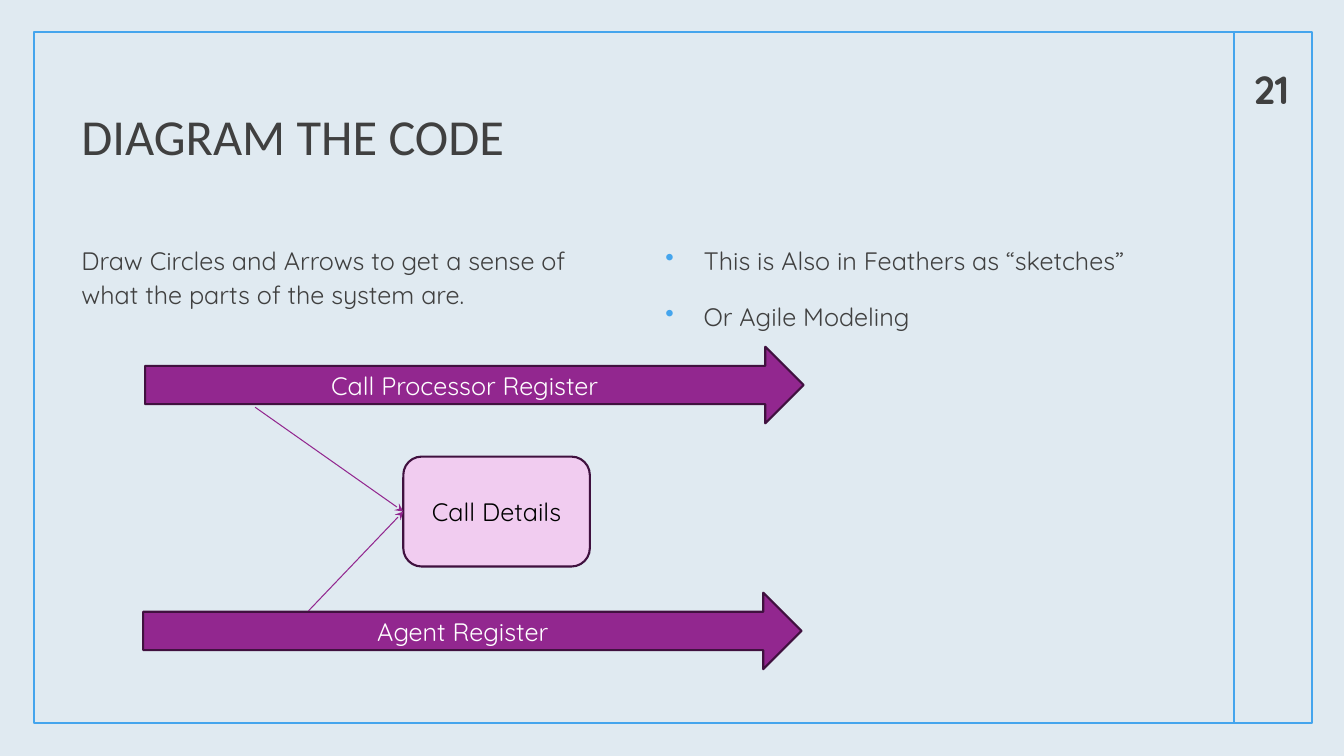
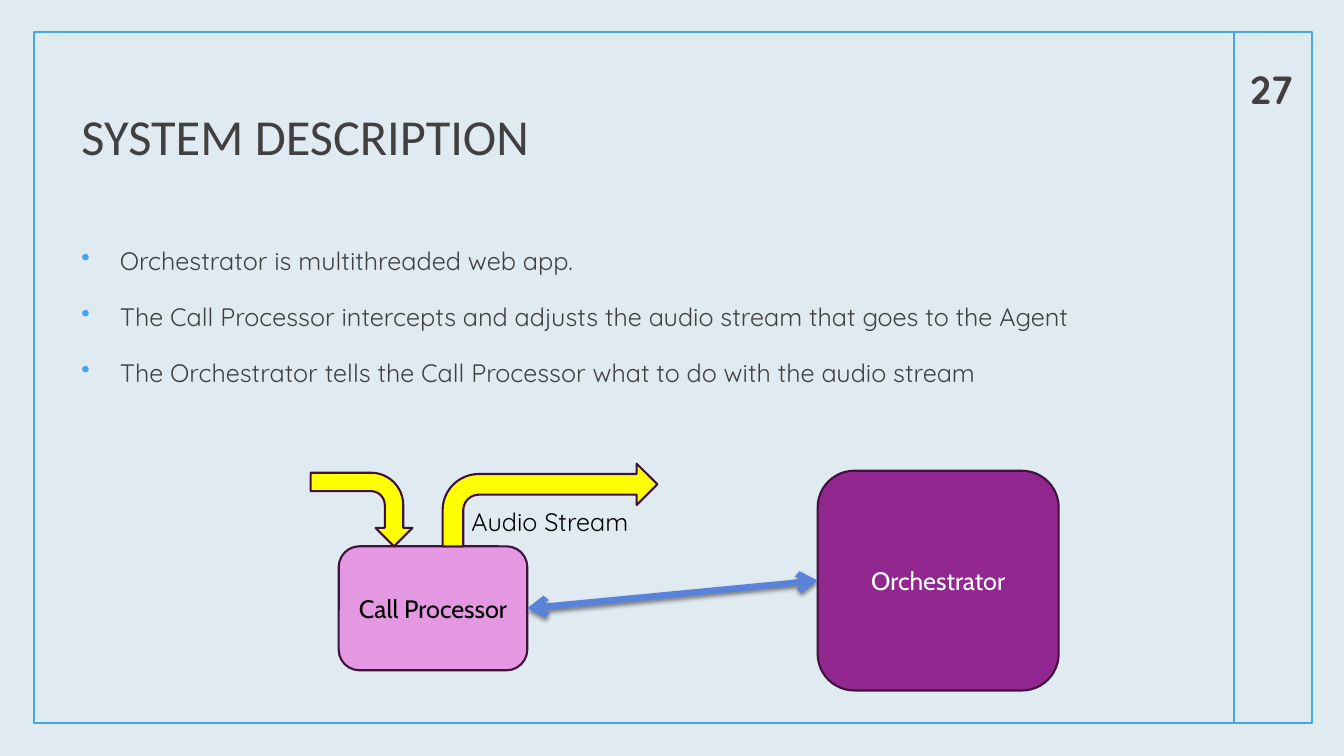
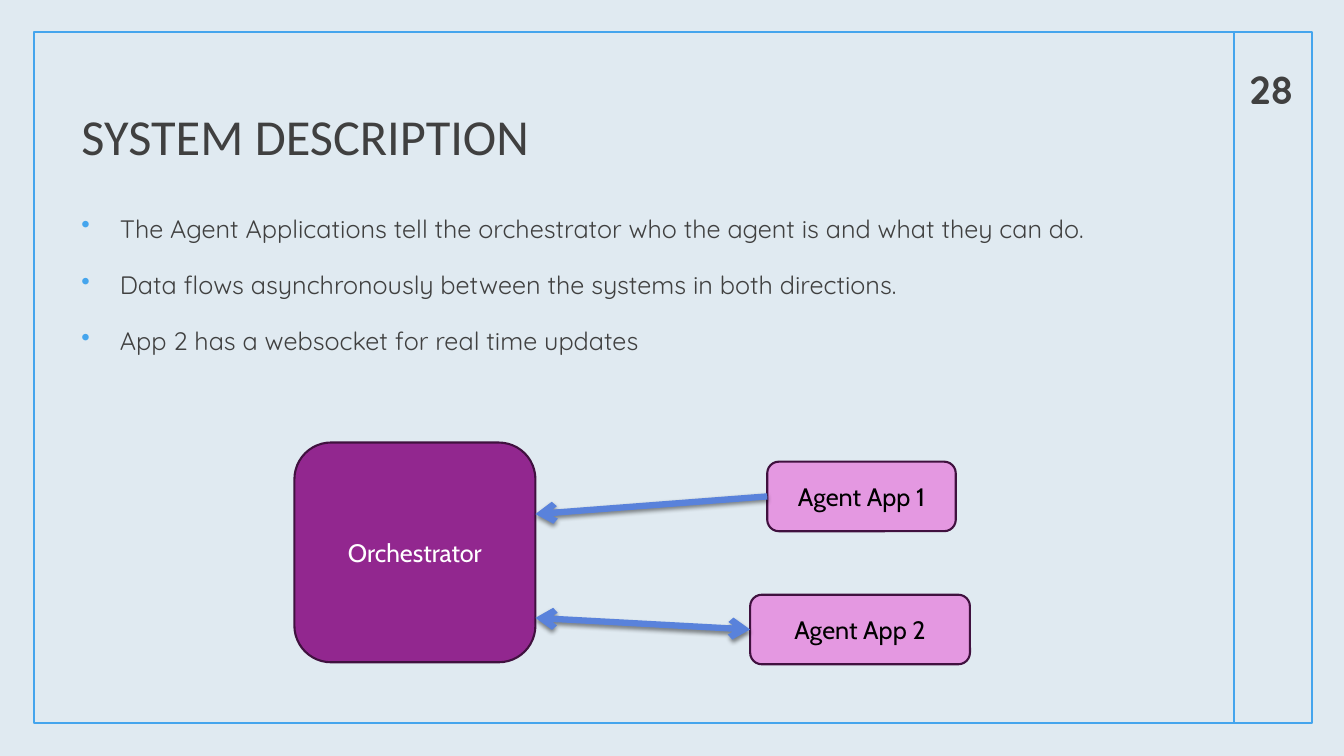
from dataclasses import dataclass

from lxml import etree
from pptx import Presentation
from pptx import util as u
from pptx.dml import color as dml
from pptx.enum import shapes, text
from pptx.oxml import ns

COLORS = {
    "page": "F2F2F2",
    "sky": "45A5ED",
    "ink": "404040",
    "purple": "92278F",
    "plum": "40113F",
    "pink": "E498E1",
    "pale": "F1CCF0",
    "yellow": "FFFF00",
    "blue": "5982DB",
    "white": "FFFFFF",
    "black": "000000",
}
SHAPE = shapes.MSO_SHAPE
ANCHOR = text.MSO_ANCHOR
Box = tuple[float, float, float, float]
End = tuple[float, float] | tuple[str, int]


@dataclass(frozen=True)
class Body:
    box: Box
    paragraphs: tuple[str, ...]
    bulleted: bool = True


@dataclass(frozen=True)
class Node:
    name: str
    box: Box
    label: str = ""
    kind: SHAPE = SHAPE.ROUNDED_RECTANGLE
    fill: str = "pink"
    color: str = "black"
    font: str = "Cabin"
    rotation: float = 0
    anchor: ANCHOR = ANCHOR.MIDDLE
    bottom_inset: float = 0.05


@dataclass(frozen=True)
class Link:
    start: End
    end: End
    color: str = "blue"
    width: float = 4.5
    head: str = ""
    tail: str = "arrow"
    shadow: bool = True


@dataclass(frozen=True)
class Page:
    number: int
    title: str
    bodies: tuple[Body, ...]
    nodes: tuple[Node, ...]
    links: tuple[Link, ...]


def rgb(name: str) -> dml.RGBColor:
    return dml.RGBColor.from_string(COLORS[name])


def inches(values) -> list[int]:
    return [u.Inches(value) for value in values]


def add_element(parent, tag: str, **attributes):
    return etree.SubElement(parent, ns.qn(tag), attributes)


def add_color(parent, name: str, alpha: int | None = None) -> None:
    element = add_element(parent, "a:srgbClr", val=COLORS[name])
    if alpha is not None:
        add_element(element, "a:alpha", val=str(alpha * 1000))


def write_text(shape, *paragraphs: str, size=18, font="Quicksand", color="ink",
               bold=False, align=text.PP_ALIGN.LEFT, anchor=ANCHOR.TOP,
               bulleted=False, spaced=False) -> None:
    frame = shape.text_frame
    frame.word_wrap = True
    frame.vertical_anchor = anchor
    for index, content in enumerate(paragraphs):
        paragraph = frame.add_paragraph() if index else frame.paragraphs[0]
        paragraph.alignment = align
        if spaced:
            paragraph.line_spacing = u.Pt(24)
            paragraph.space_before = u.Pt(10 if index else 0)
            paragraph.space_after = u.Pt(6)
        if bulleted:
            properties = paragraph._p.get_or_add_pPr()
            indent = u.Inches(0.38)
            properties.set("marL", str(indent))
            properties.set("indent", str(-indent))
            add_color(add_element(properties, "a:buClr"), "sky")
            add_element(properties, "a:buChar", char="•")
        run = paragraph.add_run()
        run.text = content
        run.font.size = u.Pt(size)
        run.font.name = font
        run.font.bold = bold
        run.font.color.rgb = rgb(color)


def add_text(slide, box: Box, *paragraphs: str, **style) -> None:
    write_text(slide.shapes.add_textbox(*inches(box)), *paragraphs, **style)


def add_shape(slide, kind: SHAPE, box: Box, *, fill: str = "", line: str = "",
              width: float = 1.5):
    shape = slide.shapes.add_shape(kind, *inches(box))
    shape.shadow.inherit = False
    if fill:
        shape.fill.solid()
        shape.fill.fore_color.rgb = rgb(fill)
    else:
        shape.fill.background()
    if line:
        shape.line.color.rgb = rgb(line)
        shape.line.width = u.Pt(width)
    else:
        shape.line.fill.background()
    return shape


def add_node(slide, node: Node):
    shape = add_shape(slide, node.kind, node.box, fill=node.fill, line="plum")
    shape.rotation = node.rotation
    if node.label:
        shape.text_frame.margin_bottom = u.Inches(node.bottom_inset)
        write_text(shape, node.label, font=node.font, color=node.color,
                   align=text.PP_ALIGN.CENTER, anchor=node.anchor)
    return shape


def add_link(slide, link: Link, nodes: dict) -> None:
    points = [(0, 0) if isinstance(end[0], str) else end for end in (link.start, link.end)]
    connector = slide.shapes.add_connector(
        shapes.MSO_CONNECTOR.STRAIGHT, *inches(points[0] + points[1]))
    for end, join in ((link.start, connector.begin_connect), (link.end, connector.end_connect)):
        if isinstance(end[0], str):
            join(nodes[end[0]], end[1])
    connector.line.color.rgb = rgb(link.color)
    connector.line.width = u.Pt(link.width)
    properties = connector._element.spPr
    for tag, arrow in (("a:headEnd", link.head), ("a:tailEnd", link.tail)):
        if arrow:
            add_element(properties.find(ns.qn("a:ln")), tag, type=arrow)
    effects = add_element(properties, "a:effectLst")
    if link.shadow:
        shadow = add_element(effects, "a:outerShdw", blurRad=str(u.Pt(3)),
                             dist=str(u.Pt(2)), dir="5400000", rotWithShape="0")
        add_color(shadow, "black", 45)


def add_frame(slide, page: Page) -> None:
    tint = add_shape(slide, SHAPE.RECTANGLE, (0, 0, 13.33, 7.5), fill="sky")
    color = tint._element.spPr.find(ns.qn("a:solidFill"))[0]
    add_element(color, "a:alpha", val="10000")
    add_link(slide, Link((12.24, 0.32), (12.24, 7.17), "sky", 1.25, tail="", shadow=False), {})
    add_shape(slide, SHAPE.RECTANGLE, (0.34, 0.32, 12.67, 6.85), line="sky", width=1.25)
    add_text(slide, (0.71, 0.66, 11.18, 1.37), page.title, size=36, font="Calibri",
             anchor=ANCHOR.MIDDLE)
    add_text(slide, (12.15, 0.32, 0.92, 0.84), str(page.number), size=28, bold=True,
             align=text.PP_ALIGN.CENTER, anchor=ANCHOR.BOTTOM)


def add_page(presentation, page: Page) -> None:
    slide = presentation.slides.add_slide(presentation.slide_layouts[6])
    add_frame(slide, page)
    for body in page.bodies:
        add_text(slide, body.box, *body.paragraphs, bulleted=body.bulleted, spaced=True)
    nodes = {node.name: add_node(slide, node) for node in page.nodes}
    for link in page.links:
        add_link(slide, link, nodes)


def register(label: str, left: float, top: float) -> Node:
    return Node(label, (left, top, 6.53, 0.76), label, SHAPE.RIGHT_ARROW, "purple",
                "white", "Quicksand")


def orchestrator(left: float, top: float) -> Node:
    return Node("Orchestrator", (left, top, 2.39, 2.18), "Orchestrator",
                fill="purple", color="white")


def details_link(left: float, top: float) -> Link:
    return Link((left, top), ("Call Details", 1), "purple", 0.75, tail="stealth", shadow=False)


PAGES = (
    Page(
        21, "DIAGRAM THE CODE",
        (
            Body((0.71, 2.35, 5.39, 4.41), (
                "Draw Circles and Arrows to get a sense of what the parts of the system are.",
            ), bulleted=False),
            Body((6.5, 2.35, 5.39, 1.09), (
                "This is Also in Feathers as “sketches”",
                "Or Agile Modeling",
            )),
        ),
        (
            register("Call Processor Register", 1.44, 3.44),
            register("Agent Register", 1.42, 5.88),
            Node("Call Details", (4, 4.53, 1.85, 1.09), "Call Details", fill="pale",
                 font="Quicksand"),
        ),
        (details_link(3.06, 6.06), details_link(2.53, 4.04)),
    ),
    Page(
        27, "SYSTEM DESCRIPTION",
        (
            Body((0.71, 2.35, 11.18, 2.54), (
                "Orchestrator is multithreaded web app.",
                "The Call Processor intercepts and adjusts the audio stream that goes to the Agent",
                "The Orchestrator tells the Call Processor what to do with the audio stream",
            )),
        ),
        (
            orchestrator(8.11, 4.67),
            Node("Call Processor", (3.36, 5.42, 1.87, 1.23), "Call Processor"),
            Node("Audio In", (3.22, 4.55, 0.73, 1.01), kind=SHAPE.BENT_ARROW,
                 fill="yellow", rotation=90),
            Node("Audio Out", (4.39, 4.6, 2.13, 0.82), "Audio Stream", SHAPE.BENT_ARROW,
                 "yellow", font="Quicksand", anchor=ANCHOR.BOTTOM, bottom_inset=0.1),
        ),
        (Link(("Call Processor", 3), ("Orchestrator", 1), head="arrow"),),
    ),
    Page(
        28, "SYSTEM DESCRIPTION",
        (
            Body((0.71, 2.03, 11.18, 2.36), (
                "The Agent Applications tell the orchestrator who the agent is and what they can do.",
                "Data flows asynchronously between the systems in both directions.",
                "App 2 has a websocket for real time updates",
            )),
        ),
        (
            orchestrator(2.92, 4.39),
            Node("Agent App 2", (7.44, 5.9, 2.18, 0.69), "Agent App 2"),
            Node("Agent App 1", (7.61, 4.58, 1.87, 0.69), "Agent App 1"),
        ),
        (
            Link(("Agent App 2", 1), (5.31, 6.13), head="arrow"),
            Link(("Agent App 1", 1), (5.31, 5.1)),
        ),
    ),
)


def main() -> None:
    presentation = Presentation()
    presentation.slide_width = u.Inches(13.33)
    presentation.slide_height = u.Inches(7.5)
    background = presentation.slide_master.background.fill
    background.solid()
    background.fore_color.rgb = rgb("page")
    for page in PAGES:
        add_page(presentation, page)
    presentation.save("out.pptx")


if __name__ == "__main__":
    main()
